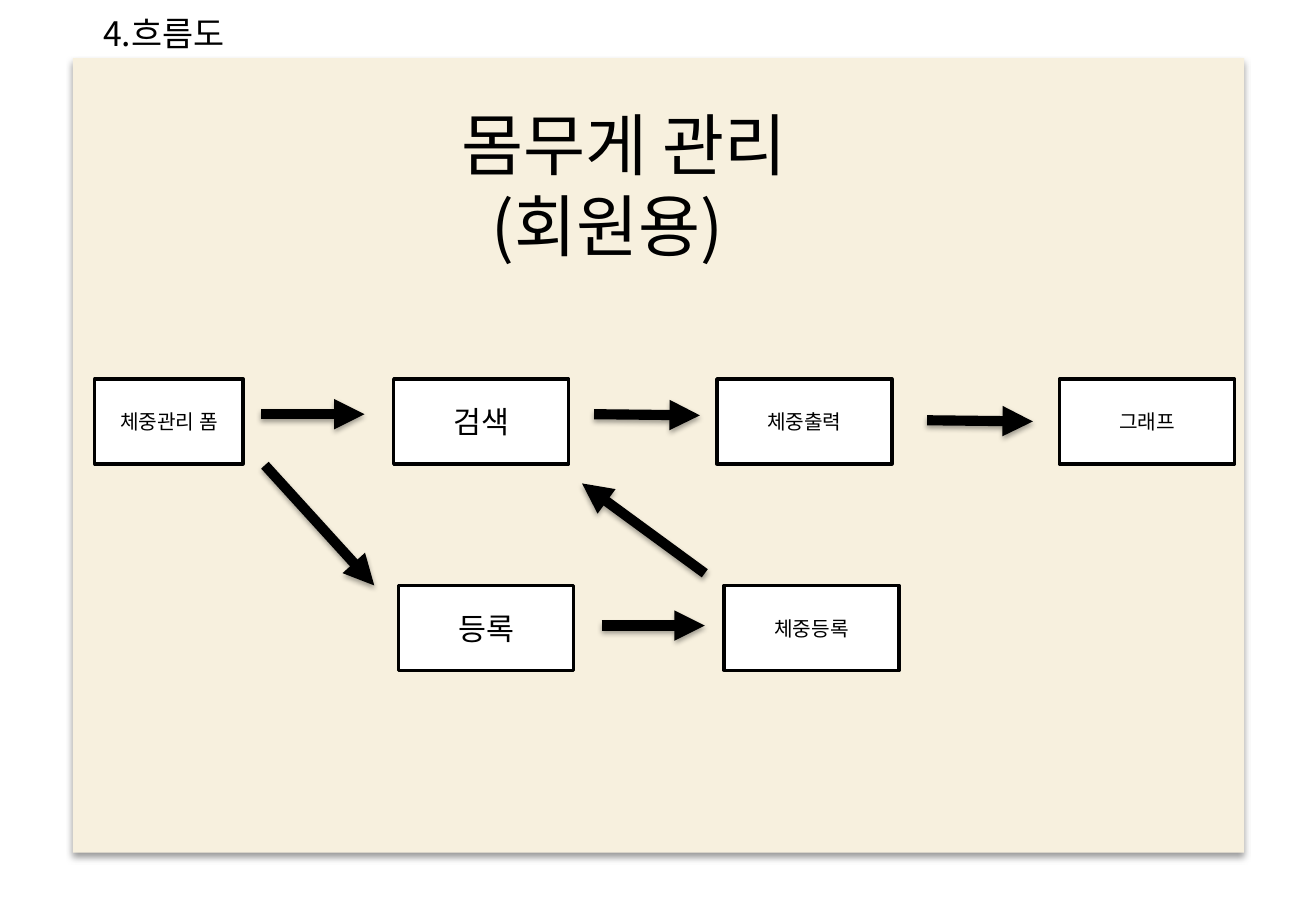
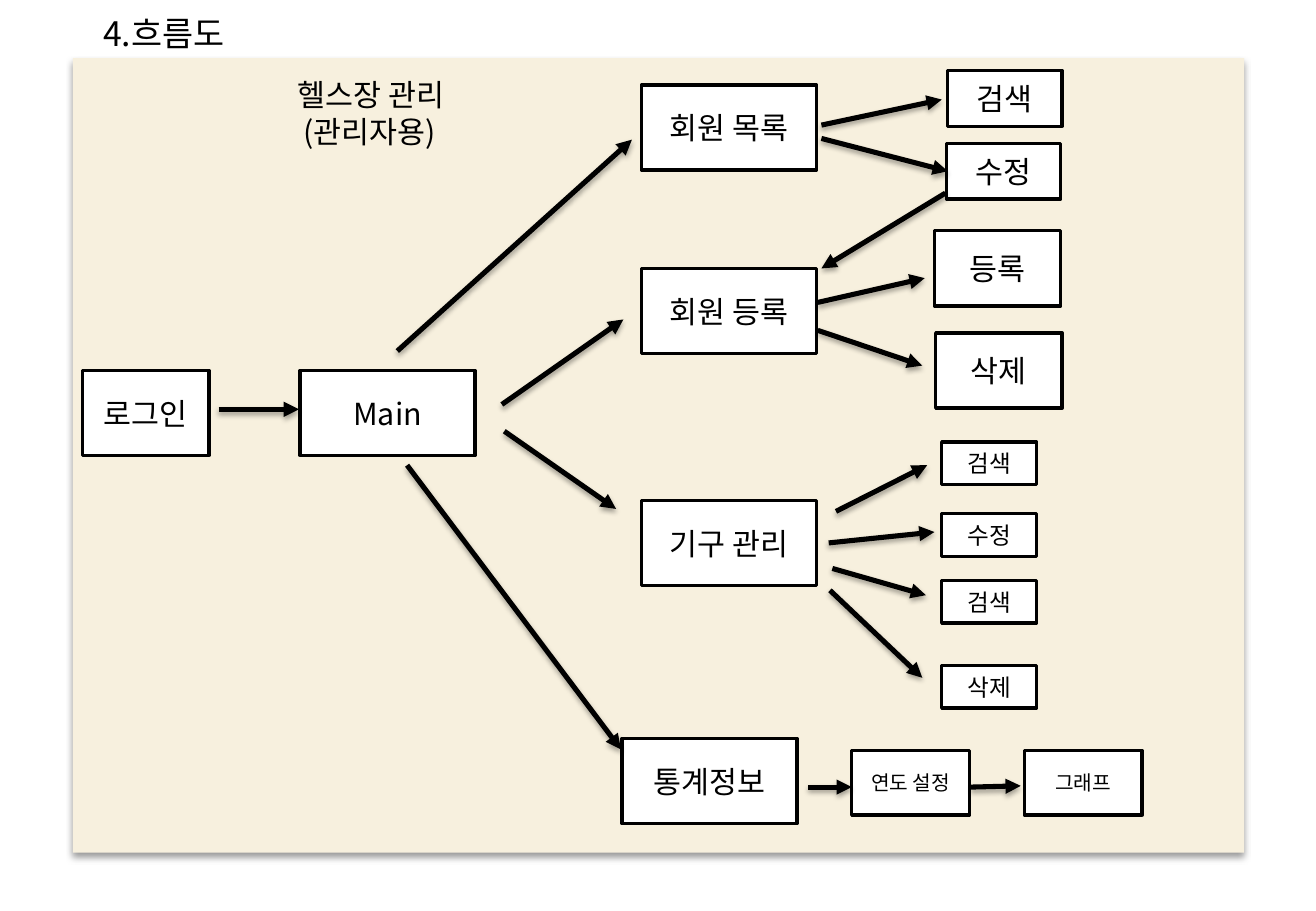
import pptx
import pptx.dml.color
import pptx.enum.shapes
import pptx.enum.text
import pptx.oxml.ns
import pptx.util
from lxml import etree

Inches = pptx.util.Inches
Pt = pptx.util.Pt
qn = pptx.oxml.ns.qn

BLACK = pptx.dml.color.RGBColor(0x00, 0x00, 0x00)
WHITE = pptx.dml.color.RGBColor(0xFF, 0xFF, 0xFF)
CREAM = pptx.dml.color.RGBColor(0xF7, 0xF0, 0xDE)
FONT = "Noto Sans CJK KR"
HEADING = "4.흐름도"
BOX_WIDTH, BOX_HEIGHT = 1.44, 0.7

member_boxes = [
    ("체중관리 폼", 0.78, 3.12, 1.22, BOX_HEIGHT, 12),
    ("검색", 3.24, 3.12, BOX_WIDTH, BOX_HEIGHT, 18),
    ("등록", 3.28, 4.82, BOX_WIDTH, BOX_HEIGHT, 18),
    ("체중출력", 5.9, 3.12, BOX_WIDTH, BOX_HEIGHT, 12),
    ("체중등록", 5.96, 4.82, BOX_WIDTH, BOX_HEIGHT, 12),
    ("그래프", 8.72, 3.12, BOX_WIDTH, BOX_HEIGHT, 12),
]
member_arrows = [
    (2.15, 3.41, 3, 3.41),
    (2.18, 3.83, 3.08, 4.82),
    (4.89, 3.41, 5.76, 3.42),
    (4.95, 5.15, 5.8, 5.15),
    (5.8, 4.72, 4.79, 3.98),
    (7.63, 3.46, 8.5, 3.47),
]

admin_boxes = [
    ("로그인", 0.68, 3.05, 1.04, BOX_HEIGHT, 18),
    ("Main", 2.47, 3.05, BOX_WIDTH, BOX_HEIGHT, 18),
    ("통계정보", 5.12, 6.08, BOX_WIDTH, BOX_HEIGHT, 18),
    ("검색", 7.8, 0.58, 0.94, 0.46, 18),
    ("수정", 7.79, 1.18, 0.94, 0.46, 18),
    ("등록", 7.69, 1.9, 1.04, 0.62, 18),
    ("삭제", 7.7, 2.74, 1.04, 0.62, 18),
]
for label, top in [("회원 목록", 0.7), ("회원 등록", 2.21), ("기구 관리", 4.12)]:
    admin_boxes.append((label, 5.28, top, BOX_WIDTH, BOX_HEIGHT, 18))
for label, top in [("검색", 3.64), ("수정", 4.23), ("검색", 4.78), ("삭제", 5.48)]:
    admin_boxes.append((label, 7.75, top, 0.78, 0.35, 14))
for label, left in [("연도 설정", 7.01), ("그래프", 8.43)]:
    admin_boxes.append((label, left, 6.18, 0.97, 0.53, 12))
admin_arrows = [
    (1.8, 3.37, 2.46, 3.37),
    (3.27, 2.89, 5.2, 1.15),
    (4.13, 3.33, 5.13, 2.63),
    (4.15, 3.55, 5.07, 4.19),
    (3.35, 3.83, 5.11, 6.17),
    (6.76, 1.03, 7.75, 0.82),
    (6.76, 1.14, 7.8, 1.41),
    (7.78, 1.59, 6.76, 2.21),
    (6.73, 2.49, 7.61, 2.29),
    (6.73, 2.72, 7.59, 3.01),
    (6.88, 4.21, 7.63, 3.83),
    (6.82, 4.47, 7.69, 4.38),
    (6.85, 4.68, 7.62, 4.9),
    (6.83, 4.86, 7.59, 5.58),
    (6.65, 6.48, 7.01, 6.48),
    (7.99, 6.48, 8.4, 6.47),
]

flow_charts = [
    {
        "title": "몸무게 관리\n(회원용)",
        "title_place": (3.7, 0.8, 3.43, 1.45),
        "title_size": 40,
        "indents": (0, 0.25),
        "boxes": member_boxes,
        "arrows": member_arrows,
        "arrow_width": 6,
    },
    {
        "title": "헬스장 관리\n(관리자용)",
        "title_place": (2.29, 0.58, 1.83, 0.71),
        "title_size": 18,
        "indents": (0.06, 0.11),
        "boxes": admin_boxes,
        "arrows": admin_arrows,
        "arrow_width": 3,
    },
]


def write_text(shape, text, size, alignment, indents=(0,)):
    shape.text_frame.word_wrap = True
    shape.text_frame.text = text
    for paragraph, indent in zip(shape.text_frame.paragraphs, indents):
        paragraph.alignment = alignment
        properties = paragraph._p.get_or_add_pPr()
        properties.set("marL", str(Inches(indent)))
        properties.set("indent", "0")
        for run in paragraph.runs:
            run.font.name = FONT
            run.font.size = Pt(size)
            run.font.color.rgb = BLACK
            east_asian = etree.SubElement(run.font._element, qn("a:ea"))
            east_asian.set("typeface", FONT)


def add_shadow(shape, opacity, blur, distance):
    effects = etree.SubElement(shape._element.spPr, qn("a:effectLst"))
    shadow = etree.SubElement(effects, qn("a:outerShdw"), blurRad=str(Pt(blur)),
                              dist=str(Pt(distance)), dir="5400000", rotWithShape="0")
    color = etree.SubElement(shadow, qn("a:srgbClr"), val=str(BLACK))
    etree.SubElement(color, qn("a:alpha"), val=str(opacity * 1000))


RECTANGLE = pptx.enum.shapes.MSO_SHAPE.RECTANGLE
STRAIGHT = pptx.enum.shapes.MSO_CONNECTOR.STRAIGHT
LEFT = pptx.enum.text.PP_ALIGN.LEFT
CENTER = pptx.enum.text.PP_ALIGN.CENTER

presentation = pptx.Presentation()
presentation.slide_width = Inches(10.83)
presentation.slide_height = Inches(7.5)

for chart in flow_charts:
    slide = presentation.slides.add_slide(presentation.slide_layouts[6])

    panel = slide.shapes.add_shape(RECTANGLE, Inches(0.6), Inches(0.48), Inches(9.64), Inches(6.54))
    panel.fill.solid()
    panel.fill.fore_color.rgb = CREAM
    panel.line.fill.background()
    add_shadow(panel, 40, 4, 3)

    heading = slide.shapes.add_textbox(Inches(0.75), Inches(0.06), Inches(5.02), Inches(0.44))
    write_text(heading, HEADING, 20, LEFT)

    title = slide.shapes.add_textbox(*[Inches(length) for length in chart["title_place"]])
    write_text(title, chart["title"], chart["title_size"], LEFT, chart["indents"])

    for label, left, top, width, height, size in chart["boxes"]:
        box = slide.shapes.add_shape(RECTANGLE, Inches(left), Inches(top), Inches(width), Inches(height))
        box.shadow.inherit = False
        box.fill.solid()
        box.fill.fore_color.rgb = WHITE
        box.line.color.rgb = BLACK
        box.line.width = Pt(2)
        box.text_frame.vertical_anchor = pptx.enum.text.MSO_ANCHOR.MIDDLE
        write_text(box, label, size, CENTER)

    for ends in chart["arrows"]:
        arrow = slide.shapes.add_connector(STRAIGHT, *[Inches(length) for length in ends])
        arrow.line.color.rgb = BLACK
        arrow.line.width = Pt(chart["arrow_width"])
        etree.SubElement(arrow.line._get_or_add_ln(), qn("a:tailEnd"), type="triangle")
        add_shadow(arrow, 35, 3.1, 1.8)

presentation.save("out.pptx")
